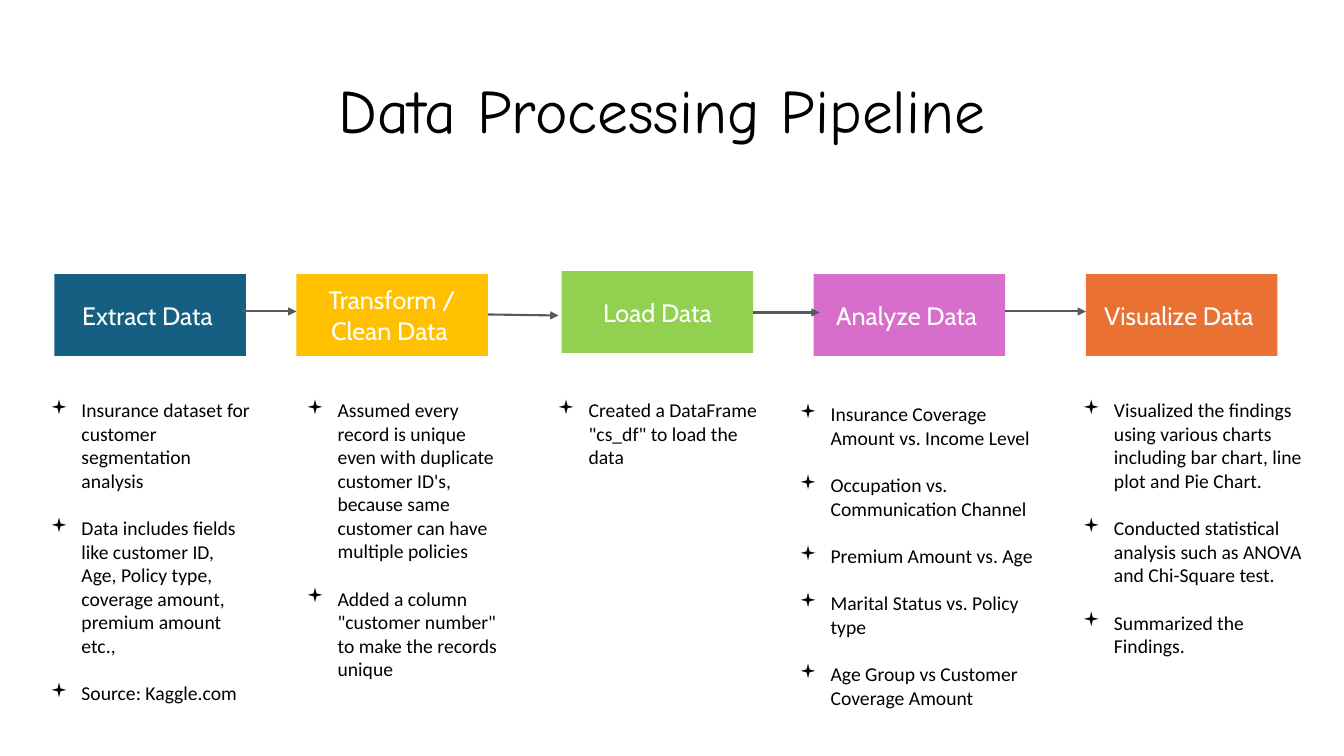
from dataclasses import dataclass

from lxml.etree import SubElement
from pptx import Presentation
from pptx.dml.color import RGBColor
from pptx.enum.shapes import MSO_CONNECTOR, MSO_SHAPE
from pptx.enum.text import MSO_ANCHOR, MSO_AUTO_SIZE, PP_ALIGN
from pptx.oxml.ns import qn
from pptx.slide import Slide
from pptx.text.text import _Paragraph as Paragraph
from pptx.util import Inches, Pt

STAGE_WIDTH, STAGE_HEIGHT = 1.9, 0.81
BULLET_INDENT = 0.31
TITLE_FORMAT = {"name": "Comic Neue", "size": Pt(44)}
STAGE_FORMAT = {"name": "Cabin", "size": Pt(18)}
NOTE_FORMAT = {"name": "Calibri", "size": Pt(14)}


@dataclass
class Notes:
    left: float
    top: float
    width: float
    height: float
    items: list[str]


@dataclass
class Stage:
    label: str
    left: float
    top: float
    color: str
    notes: Notes


@dataclass
class Arrow:
    start: tuple[float, float]
    end: tuple[float, float]


STAGES = [
    Stage("Extract Data ", 0.54, 2.72, "156082", Notes(0.4, 3.9, 2.18, 3.4, [
        "Insurance dataset for customer segmentation analysis",
        "Data includes fields like customer ID, Age, Policy type, coverage amount, premium amount etc.,",
        "Source: Kaggle.com",
    ])),
    Stage("Transform / Clean Data ", 2.94, 2.72, "FFC000", Notes(2.94, 3.9, 2.18, 2.93, [
        "Assumed every record is unique even with duplicate customer ID's, "
        "because same customer can have multiple policies",
        'Added a column "customer number" to make the records unique',
    ])),
    Stage("Load Data", 5.57, 2.69, "92D050", Notes(5.43, 3.9, 2.18, 0.81, [
        'Created a DataFrame "cs_df" to load the data',
    ])),
    Stage("Analyze Data ", 8.07, 2.72, "D86ECC", Notes(7.83, 3.94, 2.7, 3.16, [
        "Insurance Coverage Amount vs. Income Level",
        "Occupation vs. Communication Channel",
        "Premium Amount vs. Age",
        "Marital Status vs. Policy type",
        "Age Group vs Customer Coverage Amount",
    ])),
    Stage("Visualize Data ", 10.77, 2.72, "E97132", Notes(10.64, 3.9, 2.39, 2.69, [
        "Visualized the findings using various charts including bar chart, line plot and Pie Chart.",
        "Conducted statistical analysis such as ANOVA and Chi-Square test.",
        "Summarized the Findings.",
    ])),
]
ARROWS = [
    Arrow((2.39, 3.09), (2.94, 3.09)),
    Arrow((4.84, 3.12), (5.54, 3.13)),
    Arrow((7.47, 3.1), (8.13, 3.1)),
    Arrow((9.97, 3.09), (10.77, 3.09)),
]


def rgb(color: str) -> RGBColor:
    return RGBColor.from_string(color)


def format_text(paragraph: Paragraph, values: dict, color: str) -> None:
    for run in paragraph.runs:
        for attribute, value in values.items():
            setattr(run.font, attribute, value)
        run.font.color.rgb = rgb(color)


def add_bullet(paragraph: Paragraph) -> None:
    properties = paragraph._p.get_or_add_pPr()
    properties.set("marL", str(Inches(BULLET_INDENT)))
    properties.set("indent", str(-Inches(BULLET_INDENT)))
    SubElement(properties, qn("a:buFont"), typeface="Wingdings")
    SubElement(properties, qn("a:buChar"), char="▪")


def set_title(slide: Slide, text: str) -> None:
    title = slide.shapes.title
    title.left, title.top = Inches(0.92), Inches(0.4)
    title.width, title.height = Inches(11.5), Inches(1.45)
    frame = title.text_frame
    frame.text = text
    frame.auto_size = MSO_AUTO_SIZE.NONE
    frame.vertical_anchor = MSO_ANCHOR.MIDDLE
    paragraph = frame.paragraphs[0]
    paragraph.alignment = PP_ALIGN.CENTER
    paragraph.line_spacing = 0.9
    format_text(paragraph, TITLE_FORMAT, "000000")


def add_stage(slide: Slide, stage: Stage) -> None:
    shape = slide.shapes.add_shape(
        MSO_SHAPE.RECTANGLE, Inches(stage.left), Inches(stage.top),
        Inches(STAGE_WIDTH), Inches(STAGE_HEIGHT))
    shape.shadow.inherit = False
    shape.fill.solid()
    shape.fill.fore_color.rgb = rgb(stage.color)
    shape.line.fill.background()
    frame = shape.text_frame
    frame.word_wrap = True
    frame.vertical_anchor = MSO_ANCHOR.MIDDLE
    paragraph = frame.paragraphs[0]
    paragraph.text = stage.label
    paragraph.alignment = PP_ALIGN.CENTER
    format_text(paragraph, STAGE_FORMAT, "FFFFFF")


def add_arrow(slide: Slide, arrow: Arrow) -> None:
    connector = slide.shapes.add_connector(
        MSO_CONNECTOR.STRAIGHT, *map(Inches, arrow.start + arrow.end))
    connector.line.color.rgb = rgb("595959")
    connector.line.width = Pt(1.5)
    SubElement(connector.line._get_or_add_ln(), qn("a:tailEnd"), type="triangle")
    SubElement(connector._element.spPr, qn("a:effectLst"))


def add_notes(slide: Slide, notes: Notes) -> None:
    box = slide.shapes.add_textbox(
        Inches(notes.left), Inches(notes.top), Inches(notes.width), Inches(notes.height))
    frame = box.text_frame
    frame.word_wrap = True
    frame.auto_size = MSO_AUTO_SIZE.SHAPE_TO_FIT_TEXT
    for index, item in enumerate(notes.items):
        paragraph = frame.add_paragraph() if index else frame.paragraphs[0]
        paragraph.text = item
        add_bullet(paragraph)
        if index:
            paragraph.space_before = Pt(17)
        format_text(paragraph, NOTE_FORMAT, "000000")


def main() -> None:
    presentation = Presentation()
    presentation.slide_width, presentation.slide_height = Inches(13.33), Inches(7.5)
    slide = presentation.slides.add_slide(presentation.slide_layouts.get_by_name("Title Only"))
    set_title(slide, "Data Processing Pipeline ")
    for stage in STAGES:
        add_stage(slide, stage)
        add_notes(slide, stage.notes)
    for arrow in ARROWS:
        add_arrow(slide, arrow)
    presentation.save("out.pptx")


if __name__ == "__main__":
    main()
